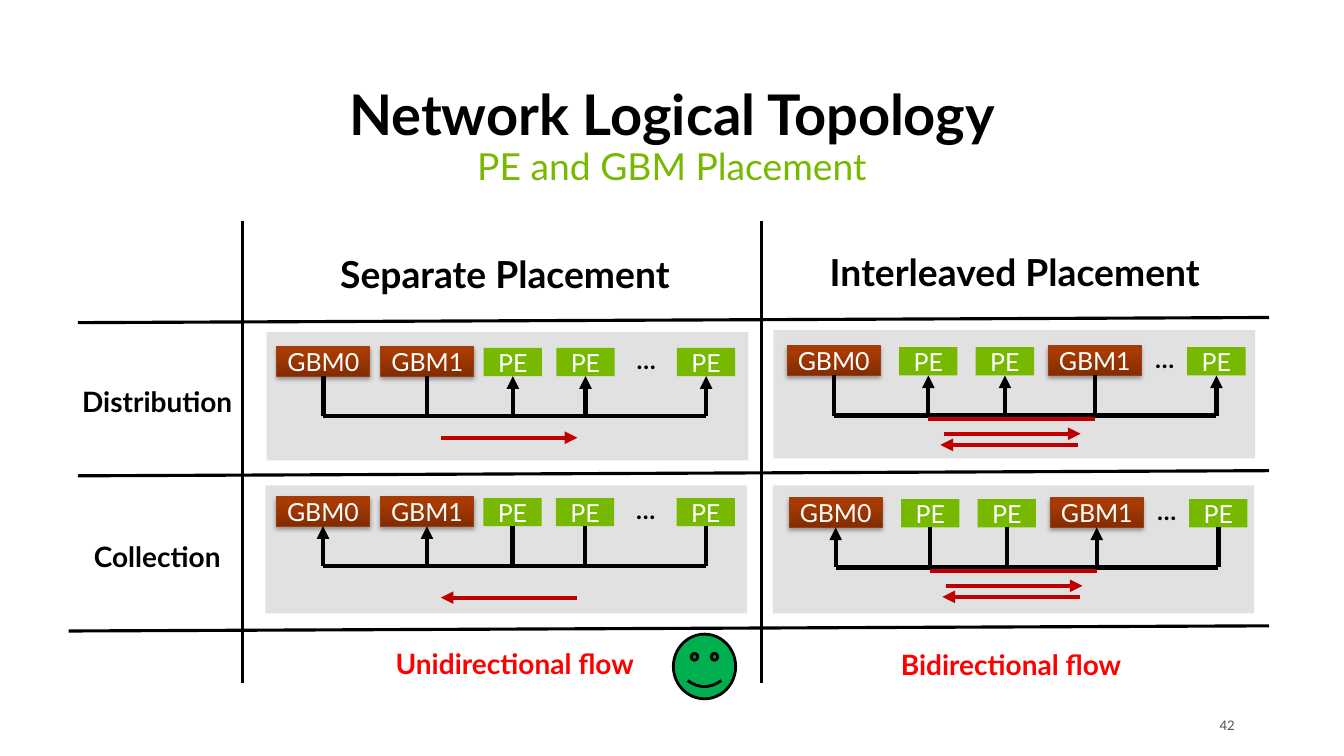
import dataclasses
import typing

import lxml.etree
import pptx
import pptx.dml.color
import pptx.enum.shapes
import pptx.enum.text
import pptx.oxml
import pptx.oxml.ns
import pptx.util

Cm = pptx.util.Cm
Pt = pptx.util.Pt
Align = pptx.enum.text.PP_ALIGN
Anchor = pptx.enum.text.MSO_ANCHOR
Kind = pptx.enum.shapes.MSO_SHAPE
A_NS = "http://schemas.openxmlformats.org/drawingml/2006/main"

HUES = {
    "ink": "000000", "white": "FFFFFF", "panel": "E1E1E1", "lime": "76B900",
    "rust": "9A3F12", "flow": "C00000", "red": "FF0000", "smile": "00B050",
    "page": "505050",
}
RUST_FILL = (
    f'<a:gradFill xmlns:a="{A_NS}" rotWithShape="1"><a:gsLst>'
    '<a:gs pos="0"><a:srgbClr val="822C02"/></a:gs>'
    '<a:gs pos="80000"><a:srgbClr val="A83A02"/></a:gs>'
    '<a:gs pos="100000"><a:srgbClr val="AB3900"/></a:gs>'
    '</a:gsLst><a:lin ang="16200000" scaled="0"/></a:gradFill>'
)
RUST_SHADE = (
    f'<a:effectLst xmlns:a="{A_NS}"><a:outerShdw blurRad="39400" dist="22900" '
    'dir="5400000" rotWithShape="0"><a:srgbClr val="000000">'
    '<a:alpha val="35000"/></a:srgbClr></a:outerShdw></a:effectLst>'
)
NODE_SIZE = {"GBM": (2.34, 0.74), "PE": (1.47, 0.71), "…": (0.89, 0.94)}
NODE_DROP = {"GBM": 0, "PE": 0.03, "…": -0.1}
WIRE_TOP, BUS_DROP, FLOW_DROP = 0.74, 1.75, 1.83


@dataclasses.dataclass(frozen=True)
class Box:
    left: float
    top: float
    width: float
    height: float


@dataclasses.dataclass(frozen=True)
class Label:
    text: str
    box: Box
    size: float
    hue: str = "ink"
    bold: bool = True
    space: float = 0.9
    align: typing.Any = Align.CENTER
    anchor: typing.Any = Anchor.MIDDLE


@dataclasses.dataclass(frozen=True)
class Node:
    text: str
    left: float

    @property
    def kind(self) -> str:
        return self.text.rstrip("01")

    @property
    def mid(self) -> float:
        return self.left + NODE_SIZE[self.kind][0] / 2


@dataclasses.dataclass(frozen=True)
class Bank:
    """One panel; nodes and flows (from, to, drop) are set from left and top."""
    panel: tuple[float, float]
    left: float
    top: float
    nodes: list[Node]
    goal: str
    flows: list[tuple[float, float, float]]


APART = [Node("GBM0", 0), Node("GBM1", 2.62), Node("PE", 5.21),
         Node("PE", 7.04), Node("…", 8.86), Node("PE", 10.08)]
MIXED = [Node("GBM0", 0), Node("PE", 2.82), Node("PE", 4.75),
         Node("GBM1", 6.58), Node("…", 9.07), Node("PE", 10.08)]
BOTH_WAYS = [(3.94, 7.39, 2.21), (7.32, 3.86, 2.49)]
BANKS = [
    Bank((6.72, 8.37), 6.98, 8.74, APART, "PE", [(4.14, 7.57, 2.29)]),
    Bank((19.49, 8.32), 19.84, 8.72, MIXED, "PE", BOTH_WAYS),
    Bank((6.69, 12.23), 6.97, 12.52, APART, "GBM", [(7.57, 4.14, 2.54)]),
    Bank((19.47, 12.23), 19.89, 12.55, MIXED, "GBM", BOTH_WAYS),
]
TITLE = Label("Network Logical Topology", Box(1.55, 2.03, 30.78, 1.7), 40,
              anchor=Anchor.BOTTOM)
LABELS = [
    Label("PE and GBM Placement", Box(1.55, 3.73, 30.78, 1.5), 26.6, "lime",
          False, anchor=Anchor.TOP),
    Label("Separate Placement", Box(6.71, 6.02, 12.04, 1.73), 26.6, space=1),
    Label("Interleaved Placement", Box(19.56, 5.99, 12.04, 1.73), 26.6, space=1),
    Label("Distribution", Box(1.55, 9.65, 4.83, 1.02), 20),
    Label("Collection", Box(1.55, 13.56, 4.83, 1.02), 20),
    Label("Unidirectional flow", Box(8.81, 16.26, 8.33, 1.02), 20, "red"),
    Label("Bidirectional flow", Box(21.77, 16.28, 7.42, 1.02), 20, "red"),
    Label("42", Box(30.12, 18.01, 1.0, 0.51), 9.4, "page", False, 1, Align.RIGHT),
]
RULES = [
    (6.12, 5.56, 6.12, 17.2), (19.18, 5.56, 19.18, 17.2),
    (1.96, 8.13, 31.98, 8), (1.96, 11.99, 31.98, 11.86),
    (1.73, 15.9, 31.98, 15.77),
]


def apply(thing: typing.Any, values: dict[str, typing.Any]) -> None:
    for name, value in values.items():
        setattr(thing, name, value)


def tint(hue: str) -> pptx.dml.color.RGBColor:
    return pptx.dml.color.RGBColor.from_string(HUES[hue])


def place(box: Box) -> list[pptx.util.Length]:
    return [Cm(side) for side in (box.left, box.top, box.width, box.height)]


def write(shape: typing.Any, label: Label) -> None:
    frame = shape.text_frame
    frame.text = label.text
    apply(frame, {"word_wrap": True, "vertical_anchor": label.anchor,
                  "auto_size": pptx.enum.text.MSO_AUTO_SIZE.NONE,
                  "margin_left": 0, "margin_right": 0,
                  "margin_top": 0, "margin_bottom": 0})
    line = frame.paragraphs[0]
    apply(line, {"alignment": label.align, "line_spacing": label.space})
    font = line.runs[0].font
    apply(font, {"name": "Lato", "size": Pt(label.size), "bold": label.bold})
    font.color.rgb = tint(label.hue)


def add_label(slide: typing.Any, label: Label) -> None:
    write(slide.shapes.add_textbox(*place(label.box)), label)


def add_block(slide: typing.Any, box: Box, hue: str, edge: str = "",
              weight: float = 0, kind: typing.Any = Kind.RECTANGLE) -> typing.Any:
    shape = slide.shapes.add_shape(kind, *place(box))
    shape.shadow.inherit = False
    shape.fill.solid()
    shape.fill.fore_color.rgb = tint(hue)
    if edge:
        shape.line.color.rgb = tint(edge)
        shape.line.width = Pt(weight)
    else:
        shape.line.fill.background()
    return shape


def add_line(slide: typing.Any, ends: tuple[float, ...], hue: str = "ink",
             weight: float = 3, arrow: bool = False) -> None:
    line = slide.shapes.add_connector(
        pptx.enum.shapes.MSO_CONNECTOR.STRAIGHT, *[Cm(end) for end in ends])
    line.line.color.rgb = tint(hue)
    line.line.width = Pt(weight)
    qn = pptx.oxml.ns.qn
    props = line._element.spPr
    if arrow:
        lxml.etree.SubElement(props.find(qn("a:ln")), qn("a:tailEnd"), type="triangle")
    lxml.etree.SubElement(props, qn("a:effectLst"))


def make_rust(shape: typing.Any) -> None:
    """Give a block the shaded fill and soft shadow of a GBM."""
    props = shape._element.spPr
    for tag, xml in (("a:solidFill", RUST_FILL), ("a:effectLst", RUST_SHADE)):
        props.replace(props.find(pptx.oxml.ns.qn(tag)), pptx.oxml.parse_xml(xml))


def add_node(slide: typing.Any, node: Node, left: float, top: float) -> None:
    kind = node.kind
    box = Box(left + node.left, top + NODE_DROP[kind], *NODE_SIZE[kind])
    if kind == "…":
        add_label(slide, Label(node.text, box, 17.8))
        return
    if kind == "GBM":
        shape = add_block(slide, box, "rust", "rust", 0.75)
        make_rust(shape)
    else:
        shape = add_block(slide, box, "lime")
    write(shape, Label(node.text, box, 17.8, "white", False, 1))


def add_bank(slide: typing.Any, bank: Bank) -> None:
    add_block(slide, Box(*bank.panel, 12.14, 3.23), "panel")
    for node in bank.nodes:
        add_node(slide, node, bank.left, bank.top)
    wired = [node for node in bank.nodes if node.kind != "…"]
    bus = bank.top + BUS_DROP
    add_line(slide, (bank.left + wired[0].mid, bus, bank.left + wired[-1].mid, bus))
    for node in wired:
        x = bank.left + node.mid
        add_line(slide, (x, bus, x, bank.top + WIRE_TOP), arrow=node.kind == bank.goal)
    if bank.nodes is MIXED:
        y = bank.top + FLOW_DROP
        add_line(slide, (bank.left + wired[1].mid, y, bank.left + wired[3].mid, y), "flow")
    for start, end, drop in bank.flows:
        y = bank.top + drop
        add_line(slide, (bank.left + start, y, bank.left + end, y), "flow", arrow=True)


def main() -> None:
    deck = pptx.Presentation()
    apply(deck, {"slide_width": Cm(33.87), "slide_height": Cm(19.05)})
    slide = deck.slides.add_slide(deck.slide_layouts[5])
    title = slide.shapes.title
    apply(title, dict(zip(("left", "top", "width", "height"), place(TITLE.box))))
    write(title, TITLE)
    for label in LABELS:
        add_label(slide, label)
    for bank in BANKS:
        add_bank(slide, bank)
    for rule in RULES:
        add_line(slide, rule, weight=2.25)
    add_block(slide, Box(16.97, 15.98, 1.57, 1.63), "smile", "ink", 2, Kind.SMILEY_FACE)
    deck.save("out.pptx")


if __name__ == "__main__":
    main()
